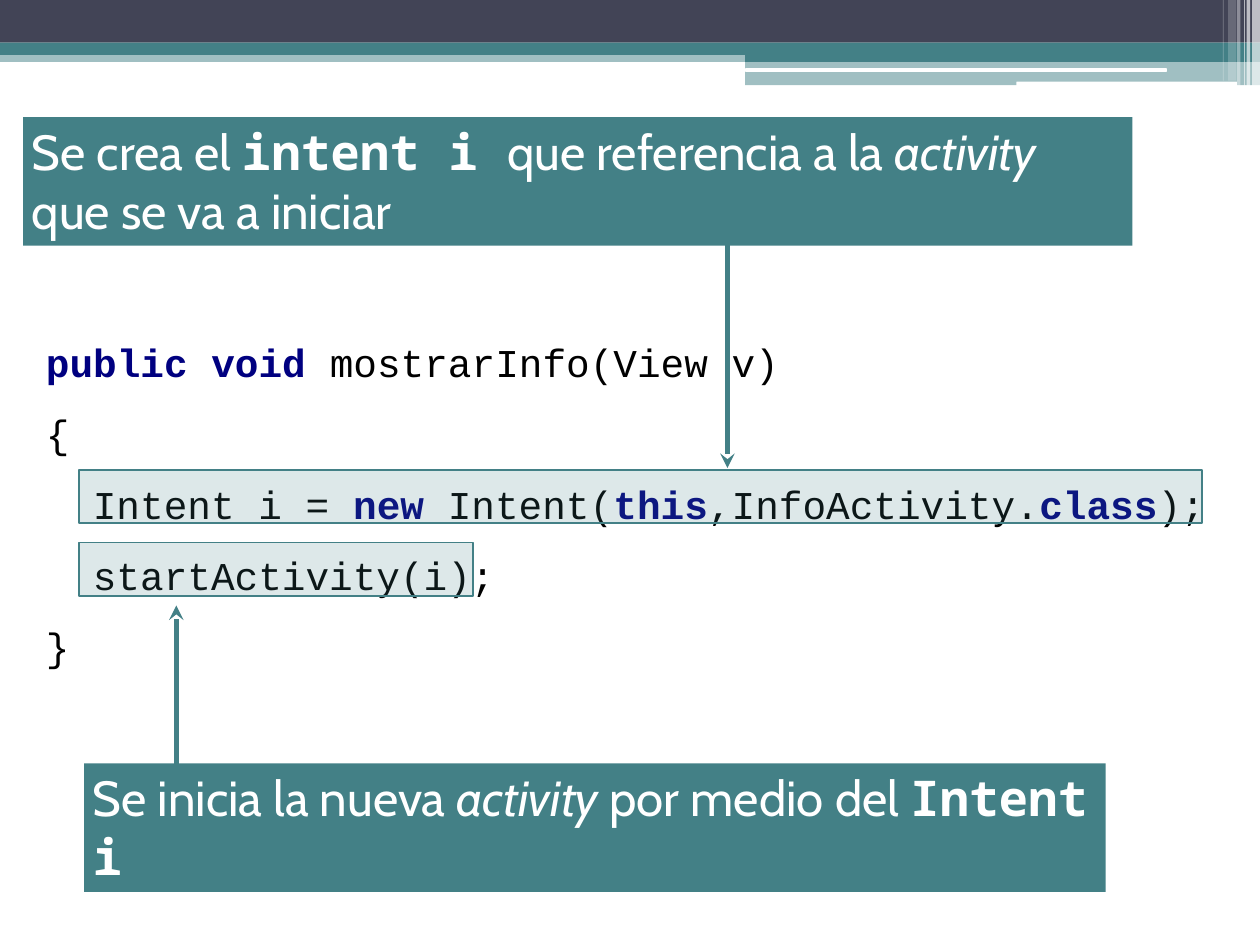
from lxml import etree
from pptx import Presentation
from pptx.dml.color import RGBColor
from pptx.enum.shapes import MSO_CONNECTOR, MSO_SHAPE
from pptx.enum.text import MSO_ANCHOR, PP_ALIGN
from pptx.oxml.ns import qn
from pptx.util import Inches, Pt

RECTANGLE = MSO_SHAPE.RECTANGLE
ROUNDED = MSO_SHAPE.ROUNDED_RECTANGLE
STRAIGHT = MSO_CONNECTOR.STRAIGHT
TOP, MIDDLE = MSO_ANCHOR.TOP, MSO_ANCHOR.MIDDLE
LEFT = PP_ALIGN.LEFT

WIDTH, HEIGHT = 14.22, 10.66
TEAL, SLATE, WHITE, BLACK, NAVY = "438086", "424456", "FFFFFF", "000000", "000080"
BODY_FONT, CODE_FONT, MONO_FONT = "Cabin", "Courier New", "Noto Sans Mono"
CODE_SIZE, NOTE_SIZE = 32, 40
CODE_INDENT = 0.53

HEADER_BANDS = [
    (RECTANGLE, (0, 0.57, WIDTH, 0.13), TEAL, 50),
    (RECTANGLE, (0, 0, WIDTH, 0.48), SLATE, 100),
    (RECTANGLE, (0, 0.48, WIDTH, 0.14), TEAL, 100),
    (RECTANGLE, (8.41, 0.56, 5.81, 0.14), TEAL, 100),
    (RECTANGLE, (8.41, 0.68, 5.81, 0.28), TEAL, 50),
    (ROUNDED, (8.41, 0.77, 4.76, 0.04), WHITE, 100),
    (ROUNDED, (11.47, 0.92, 2.49, 0.06), WHITE, 100),
]
HEADER_STRIPES = [
    (14.13, 0.09, 0.97, 65),
    (14.07, 0.04, 0.97, 65),
    (14.04, 0.01, 0.97, 60),
    (13.96, 0.04, 0.97, 40),
    (13.86, 0.09, 0.91, 20),
    (13.8, 0.01, 0.91, 30),
]

PLAIN = {"font": CODE_FONT, "size": CODE_SIZE, "color": BLACK}
KEYWORD = {**PLAIN, "color": NAVY, "bold": True}
NOTE = {"font": BODY_FONT, "size": NOTE_SIZE, "color": WHITE}
NOTE_ITALIC = {**NOTE, "italic": True}
NOTE_MONO = {**NOTE, "font": MONO_FONT, "bold": True}

CODE_BOX = (0.42, 3.48, 13.54, 4.14)
CODE_LINES = [
    (0, [("public void ", KEYWORD), ("mostrarInfo(View v)", PLAIN)]),
    (0, [("{", PLAIN)]),
    (1, [("Intent i = ", PLAIN), ("new ", KEYWORD), ("Intent(", PLAIN), ("this", KEYWORD),
         (",InfoActivity.", PLAIN), ("class", KEYWORD), (");", PLAIN)]),
    (1, [("startActivity(i);", PLAIN)]),
    (0, [("}", PLAIN)]),
]
CALLOUTS = [
    {
        "box": (0.26, 1.32, 12.52, 1.45),
        "text": [("Se crea el ", NOTE), ("intent i ", NOTE_MONO), ("que referencia a la ", NOTE),
                 ("activity ", NOTE_ITALIC), ("que se va a iniciar", NOTE)],
        "highlight": (0.89, 5.3, 12.68, 0.6),
        "arrow": (8.21, 2.76, 5.28),
    },
    {
        "box": (0.95, 8.61, 11.53, 1.45),
        "text": [("Se inicia la nueva ", NOTE), ("activity", NOTE_ITALIC),
                 (" por medio del ", NOTE), ("Intent i", NOTE_MONO)],
        "highlight": (0.89, 6.12, 4.45, 0.6),
        "arrow": (1.99, 8.95, 6.83),
    },
]


def rgb(value):
    return RGBColor.from_string(value)


def add_box(slide, kind, box, color, opacity=100, outline=None):
    shape = slide.shapes.add_shape(kind, *map(Inches, box))
    shape.shadow.inherit = False
    shape.fill.solid()
    shape.fill.fore_color.rgb = rgb(color)
    if opacity < 100:
        color_element = shape.fill._xPr.find(qn("a:solidFill"))[0]
        etree.SubElement(color_element, qn("a:alpha")).set("val", str(opacity * 1000))
    if outline:
        shape.line.color.rgb = rgb(outline)
        shape.line.width = Pt(1.5)
    else:
        shape.line.fill.background()
    return shape


def add_runs(paragraph, runs):
    paragraph.alignment = LEFT
    for text, style in runs:
        run = paragraph.add_run()
        run.text = text
        run.font.name = style["font"]
        run.font.size = Pt(style["size"])
        run.font.color.rgb = rgb(style["color"])
        run.font.bold = style.get("bold", False)
        run.font.italic = style.get("italic", False)


def add_text_box(slide, box, color, lines, anchor, spacing):
    text_frame = add_box(slide, RECTANGLE, box, color).text_frame
    text_frame.word_wrap = True
    text_frame.vertical_anchor = anchor
    for index, (level, runs) in enumerate(lines):
        paragraph = text_frame.add_paragraph() if index else text_frame.paragraphs[0]
        paragraph.line_spacing = spacing
        add_runs(paragraph, runs)
        if level:
            properties = paragraph._p.get_or_add_pPr()
            properties.set("marL", str(Inches(level * CODE_INDENT)))
            properties.set("indent", "0")


def add_arrow(slide, x, start, end):
    connector = slide.shapes.add_connector(
        STRAIGHT, Inches(x), Inches(start), Inches(x), Inches(end))
    connector.line.color.rgb = rgb(TEAL)
    connector.line.width = Pt(4)
    line = connector.line._get_or_add_ln()
    etree.SubElement(line, qn("a:tailEnd")).set("type", "stealth")
    etree.SubElement(connector._element.spPr, qn("a:effectLst"))


def main():
    presentation = Presentation()
    presentation.slide_width = Inches(WIDTH)
    presentation.slide_height = Inches(HEIGHT)
    slide = presentation.slides.add_slide(presentation.slide_layouts[6])

    for kind, box, color, opacity in HEADER_BANDS:
        add_box(slide, kind, box, color, opacity)
    for left, width, height, opacity in HEADER_STRIPES:
        add_box(slide, RECTANGLE, (left, 0, width, height), WHITE, opacity)

    add_text_box(slide, CODE_BOX, WHITE, CODE_LINES, MIDDLE, 1.5)
    for callout in CALLOUTS:
        add_arrow(slide, *callout["arrow"])
        add_text_box(slide, callout["box"], TEAL, [(0, callout["text"])], TOP, 1.0)
        add_box(slide, RECTANGLE, callout["highlight"], TEAL, 18, TEAL)

    presentation.save("out.pptx")


if __name__ == "__main__":
    main()
